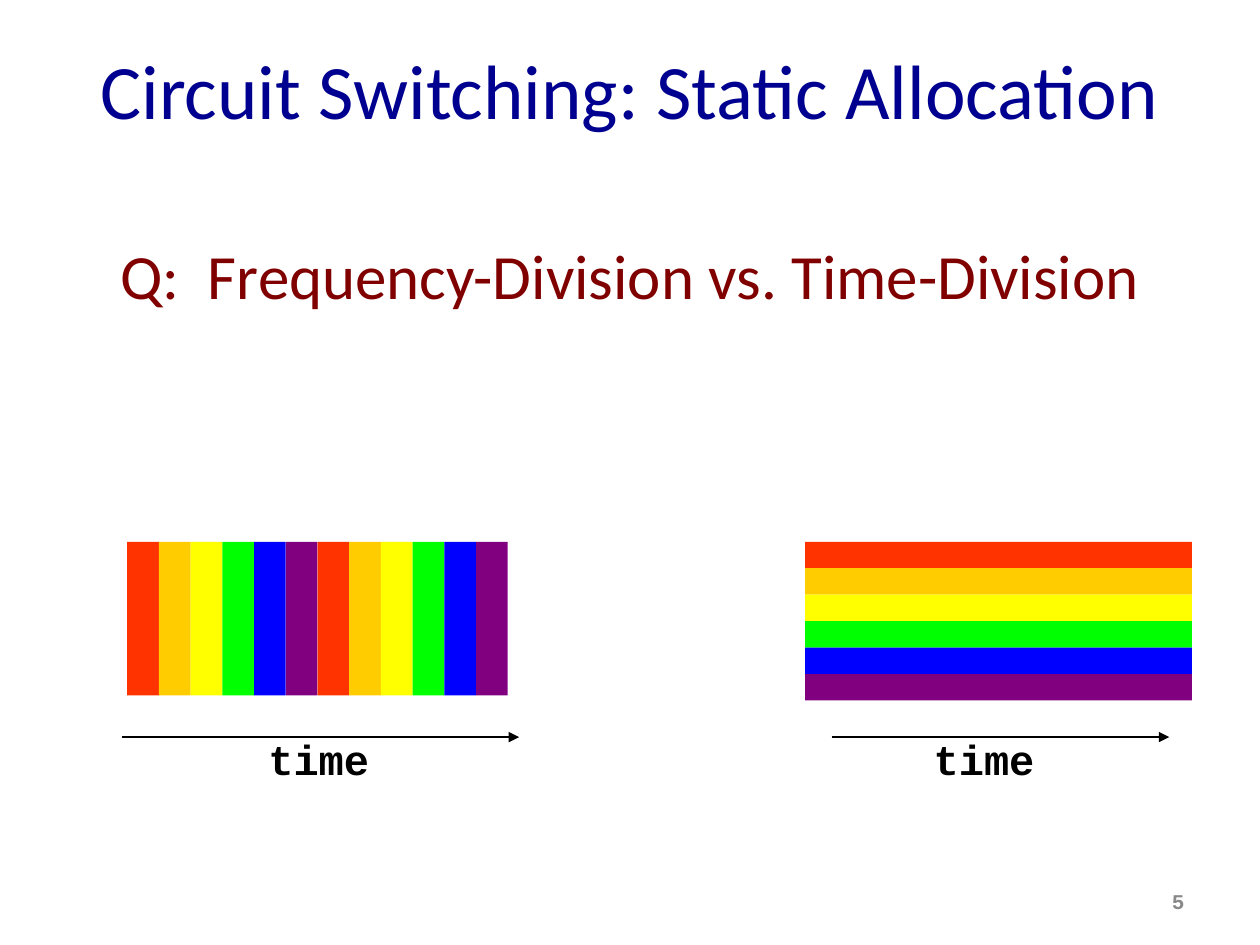
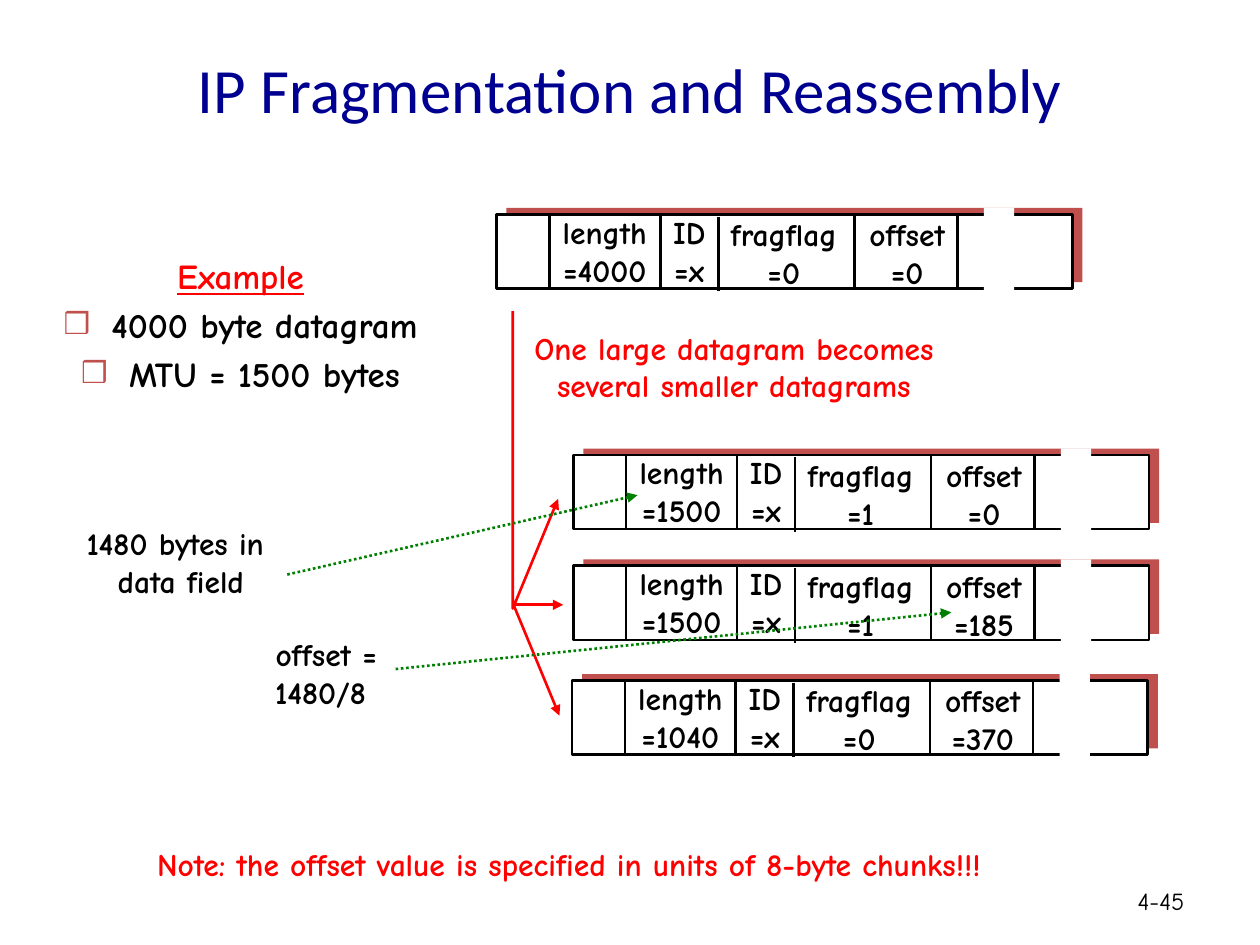
from lxml.etree import SubElement as Sub
from pptx import Presentation
from pptx.dml.color import RGBColor as RGB
from pptx.enum.dml import MSO_LINE as DASH
from pptx.enum.shapes import MSO_CONNECTOR as CONN, MSO_SHAPE as SHAPE
from pptx.enum.text import MSO_ANCHOR as ANCHOR, MSO_AUTO_SIZE as AUTO, PP_ALIGN as ALIGN
from pptx.oxml.ns import qn
from pptx.util import Inches, Pt

HUE = {
    "title": "000090", "question": "800000", "number": "898989",
    "black": "000000", "white": "FFFFFF", "red": "FF0000",
    "green": "008000", "brick": "C0504D",
}
BANDS = ["FF3300", "FFCC00", "FFFF00", "00FF00", "0000FF", "800080"]
SANS, COMIC, MONO = "Calibri", "Comic Neue", "Courier New"


def write(shape, text, size=18, font=COMIC, color="black", bold=True,
          align=ALIGN.CENTER, anchor=ANCHOR.TOP, wrap=False, gap=0,
          hang=0, mark=None, under=False):
    """Fill a shape with one paragraph per line; mark bullets all but the first."""
    frame = shape.text_frame
    frame.auto_size = AUTO.NONE if wrap else AUTO.SHAPE_TO_FIT_TEXT
    frame.word_wrap = wrap
    frame.vertical_anchor = anchor
    for i, words in enumerate(text.split("\n")):
        para = frame.add_paragraph() if i else frame.paragraphs[0]
        para.alignment = align
        para.space_before = Pt(gap if i else 0)
        props = para._p.get_or_add_pPr()
        props.set("marL", str(Inches(hang)))
        props.set("indent", str(-Inches(hang)))
        if mark and i:
            tint = Sub(props, qn("a:buClr"))
            Sub(tint, qn("a:srgbClr"), val=HUE["brick"])
            Sub(props, qn("a:buSzPct"), val="85000")
            Sub(props, qn("a:buChar"), char=mark)
        else:
            Sub(props, qn("a:buNone"))
        run = para.add_run()
        run.text = words
        face = run.font
        face.name, face.size, face.bold = font, Pt(size), bold
        face.underline = under and i == 0
        lead = HUE["red"] if under and i == 0 else HUE[color]
        face.color.rgb = RGB.from_string(lead)


def paint(item, fill=None, line=None, width=1.5, dash=None, tip=False):
    """Set fill, line and arrowhead, and clear the theme shadow."""
    if fill:
        item.fill.solid()
        item.fill.fore_color.rgb = RGB.from_string(fill)
    if line:
        item.line.color.rgb = RGB.from_string(HUE[line])
        item.line.width = Pt(width)
        if dash:
            item.line.dash_style = dash
    else:
        item.line.fill.background()
    props = item._element.spPr
    if tip:
        Sub(props.find(qn("a:ln")), qn("a:tailEnd"), type="triangle")
    Sub(props, qn("a:effectLst"))


deck = Presentation()
deck.slide_width, deck.slide_height = Inches(10), Inches(7.5)

# Shared parts: title, body place and page number
pages = []
for title, size, area, page, look in [
    ("Circuit Switching: Static Allocation", 44, (0, 1.83, 10, 0.92), "5",
     dict(size=12, font=MONO, color="number")),
    ("IP Fragmentation and Reassembly", 36, (0.36, 1.97, 3.1, 1.84), "4-45",
     dict(size=14, bold=False)),
]:
    slide = deck.slides.add_slide(deck.slide_layouts[1])
    head, body = slide.placeholders
    for spot, box in [(head, (0.5, 0.08, 9, 1.25)), (body, area)]:
        spot.left, spot.top, spot.width, spot.height = map(Inches, box)
    write(head, title, size=size, font=SANS, color="title", bold=False,
          anchor=ANCHOR.MIDDLE, wrap=True)
    note = slide.shapes.add_textbox(*map(Inches, (7.17, 6.95, 2.33, 0.4)))
    write(note, page, align=ALIGN.RIGHT, anchor=ANCHOR.MIDDLE, wrap=True, **look)
    pages.append((slide.shapes, body))

# Slide 1: time slots on the left, frequency bands on the right
shapes, body = pages[0]
write(body, "Q:  Frequency-Division vs. Time-Division", size=36, font=SANS,
      color="question", bold=False, hang=0.38, wrap=True)

slot, band = 3.02 / 12, 0.21
cells = [(1.01 + i * slot, 4.3, slot, 1.22) for i in range(12)]
cells += [(6.39, 4.3 + i * band, 3.07, band) for i in range(6)]
for i, cell in enumerate(cells):
    bar = shapes.add_shape(SHAPE.RECTANGLE, *map(Inches, cell))
    paint(bar, fill=BANDS[i % len(BANDS)])

for start, end, left in [(0.97, 4.12, 2.03), (6.6, 9.28, 7.31)]:
    axis = shapes.add_connector(CONN.STRAIGHT, *map(Inches, (start, 5.85, end, 5.85)))
    paint(axis, line="black", width=0.75, tip=True)
    label = shapes.add_textbox(*map(Inches, (left, 5.77, 1, 0.5)))
    write(label, "time", size=24, font=MONO)

# Slide 2: one datagram and its three fragments
shapes, body = pages[1]
write(body, "Example\n4000 byte datagram\nMTU = 1500 bytes", size=20, gap=4,
      hang=0.38, mark="❒", under=True, wrap=True)

for x, y, length, flag, offset in [
    (3.94, 1.7, 4000, 0, 0),
    (4.55, 3.61, 1500, 1, 0),
    (4.55, 4.49, 1500, 1, 185),
    (4.54, 5.4, 1040, 0, 370),
]:
    for dx, dy, fill, line in [(0.08, -0.05, "brick", None), (0, 0, "white", "black")]:
        box = shapes.add_shape(SHAPE.RECTANGLE, Inches(x + dx), Inches(y + dy),
                               Inches(4.57), Inches(0.59))
        paint(box, fill=HUE[fill], line=line)
    for dx, dy, wide, text in [
        (0.39, -0.06, 0.94, f"length\n={length}"),
        (1.27, -0.06, 0.52, "ID\n=x"),
        (1.7, -0.04, 1.16, f"fragflag\n={flag}"),
        (2.78, -0.04, 0.96, f"offset\n={offset}"),
    ]:
        field = shapes.add_textbox(Inches(x + dx), Inches(y + dy), Inches(wide), Inches(0.7))
        write(field, text)
    for dx, dy in [(0.42, 0), (1.3, 0), (1.76, 0.02), (2.84, 0), (3.66, 0)]:
        rule = shapes.add_connector(CONN.STRAIGHT, Inches(x + dx), Inches(y + dy),
                                    Inches(x + dx), Inches(y + dy + 0.59))
        paint(rule, line="black")
    gap = shapes.add_shape(SHAPE.RECTANGLE, Inches(x + 3.87), Inches(y - 0.05),
                           Inches(0.24), Inches(0.66))
    paint(gap, fill=HUE["white"])

pen = shapes.build_freeform(Inches(4.07), Inches(2.47))
pen.add_line_segments([(Inches(4.07), Inches(4.83)), (Inches(4.43), Inches(3.96))],
                      close=False)
trunk = pen.convert_to_shape()
trunk.fill.background()
paint(trunk, line="red", tip=True)

for ends, color, dash in [
    ((4.07, 4.8, 4.47, 4.8), "red", None),
    ((4.08, 4.81, 4.44, 5.68), "red", None),
    ((2.28, 4.56, 5.06, 3.93), "green", DASH.ROUND_DOT),
    ((3.14, 5.31, 7.55, 4.86), "green", DASH.ROUND_DOT),
]:
    arrow = shapes.add_connector(CONN.STRAIGHT, *map(Inches, ends))
    paint(arrow, line=color, dash=dash, tip=True)

for box, color, text in [
    ((4.04, 2.56, 3.57, 0.7), "red", "One large datagram becomes\nseveral smaller datagrams"),
    ((0.51, 4.11, 1.85, 0.7), "black", "1480 bytes in \ndata field"),
    ((2.01, 4.99, 1.16, 0.7), "black", "offset =\n1480/8 "),
    ((0.62, 6.66, 7.79, 0.4), "red",
     "Note: the offset value is specified in units of 8-byte chunks!!!"),
]:
    label = shapes.add_textbox(*map(Inches, box))
    write(label, text, color=color)

deck.save("out.pptx")
